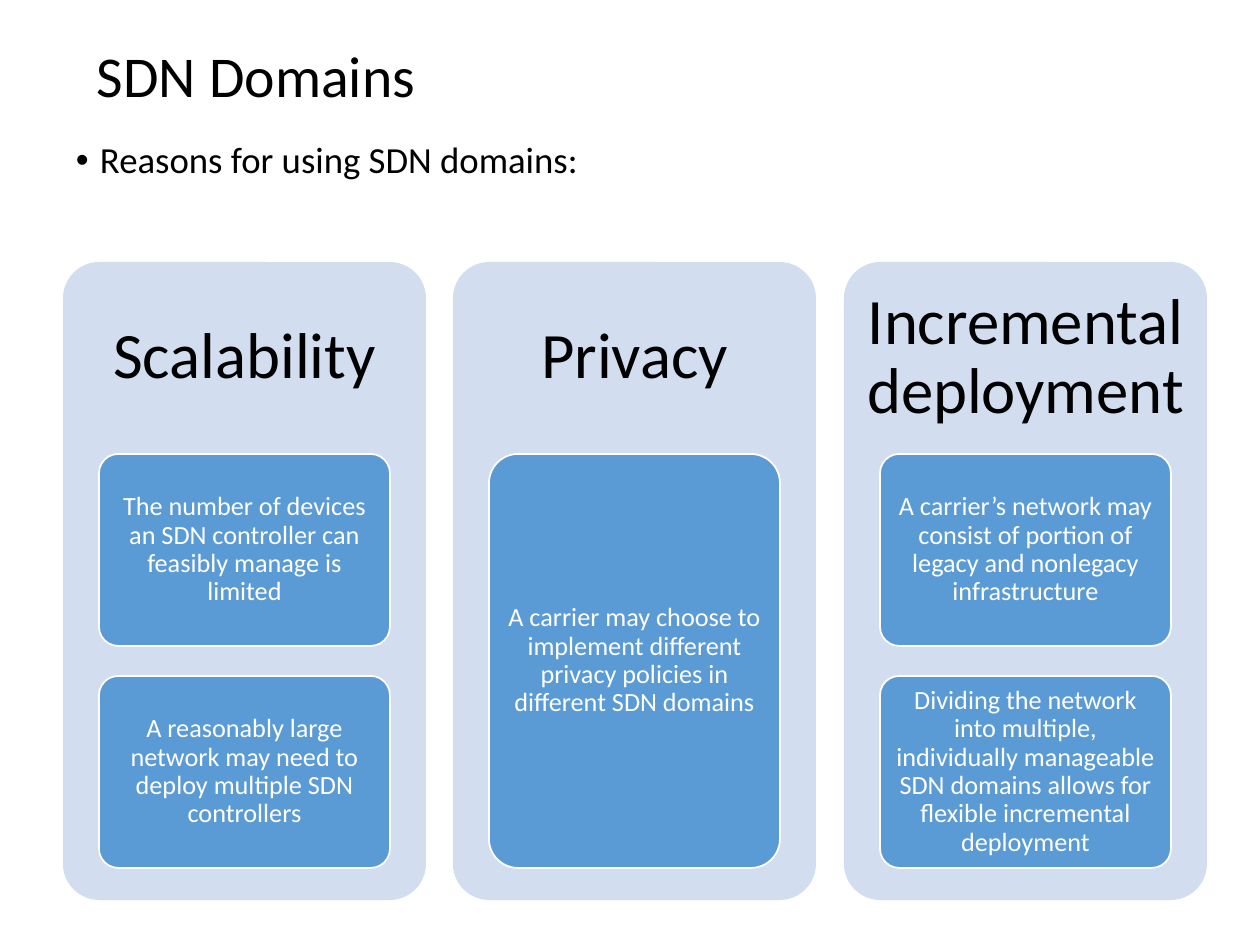
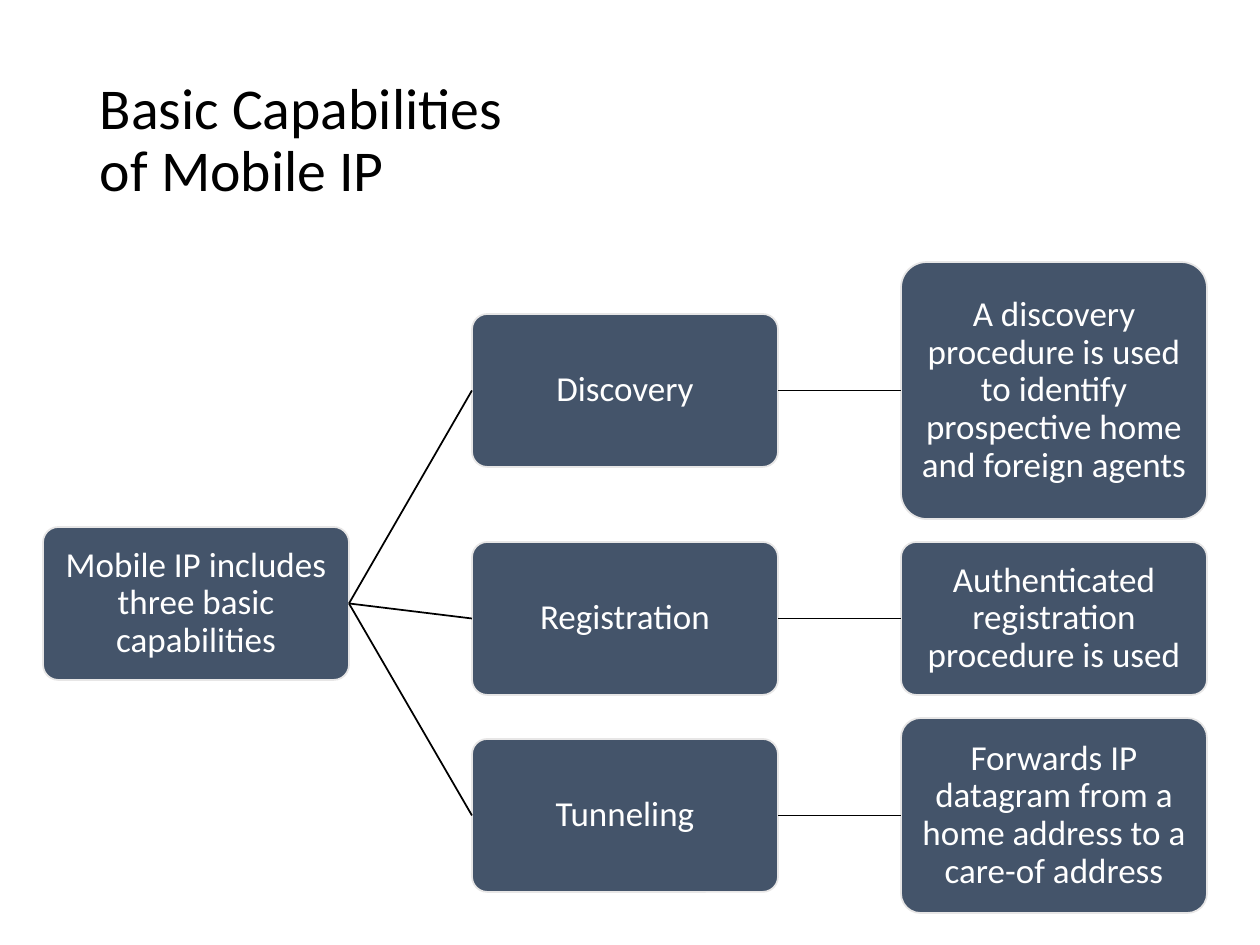
from dataclasses import dataclass

from lxml.etree import SubElement
from pptx import Presentation
from pptx.dml.color import RGBColor
from pptx.enum.shapes import MSO_CONNECTOR, MSO_SHAPE
from pptx.enum.text import MSO_ANCHOR, PP_ALIGN
from pptx.oxml.ns import qn
from pptx.shapes.autoshape import Shape
from pptx.slide import Slide
from pptx.text.text import TextFrame
from pptx.util import Emu, Pt

PIXELS_PER_INCH = 126
FONT = "Calibri"
COLORS = {
    "black": "000000",
    "white": "FFFFFF",
    "panel": "D2DEEF",
    "reason": "5B9BD5",
    "node": "44546A",
    "node_edge": "E7E6E6",
}
LEFT_SIDE, RIGHT_SIDE = 1, 3


@dataclass(frozen=True)
class Area:
    left: int
    top: int
    width: int
    height: int


@dataclass(frozen=True)
class TextStyle:
    size: int
    color: str = "black"
    align: PP_ALIGN = PP_ALIGN.CENTER
    anchor: MSO_ANCHOR = MSO_ANCHOR.MIDDLE
    side_inset: int = 13
    end_inset: int = 6


@dataclass(frozen=True)
class BoxStyle:
    fill: str
    edge: str | None = None


@dataclass(frozen=True)
class Domain:
    heading: str
    reasons: tuple[str, ...]


@dataclass(frozen=True)
class Capability:
    name: str
    detail: str
    detail_height: int


TITLE = TextStyle(33, align=PP_ALIGN.LEFT)
BODY = TextStyle(21, align=PP_ALIGN.LEFT, anchor=MSO_ANCHOR.TOP)
HEADING = TextStyle(37, side_inset=19, end_inset=19)
REASON_TEXT = TextStyle(15, "white", side_inset=5, end_inset=4)
NODE_TEXT = TextStyle(20, "white", side_inset=1, end_inset=1)
PANEL_BOX = BoxStyle("panel")
REASON_BOX = BoxStyle("reason", "white")
NODE_BOX = BoxStyle("node", "node_edge")

DOMAINS = (
    Domain("Scalability", (
        "The number of devices an SDN controller can feasibly manage is limited",
        "A reasonably large network may need to deploy multiple SDN controllers",
    )),
    Domain("Privacy", (
        "A carrier may choose to implement different privacy policies in different SDN domains",
    )),
    Domain("Incremental deployment", (
        "A carrier’s network may consist of portion of legacy and nonlegacy infrastructure",
        "Dividing the network into multiple, individually manageable SDN domains "
        "allows for flexible incremental deployment",
    )),
)
CAPABILITIES = (
    Capability(
        "Discovery",
        "A discovery procedure is used to identify prospective home and foreign agents",
        257,
    ),
    Capability("Registration", "Authenticated registration procedure is used", 153),
    Capability(
        "Tunneling",
        "Forwards IP datagram from a home address to a care-of address",
        195,
    ),
)


def px(length: int) -> Emu:
    return Emu(round(length * 914400 / PIXELS_PER_INCH))


def place(area: Area) -> tuple[Emu, Emu, Emu, Emu]:
    return px(area.left), px(area.top), px(area.width), px(area.height)


def rgb(name: str) -> RGBColor:
    return RGBColor.from_string(COLORS[name])


def write(frame: TextFrame, lines: tuple[str, ...], style: TextStyle, bullet: bool = False) -> None:
    frame.word_wrap = True
    frame.vertical_anchor = style.anchor
    frame.margin_left = frame.margin_right = px(style.side_inset)
    frame.margin_top = frame.margin_bottom = px(style.end_inset)
    paragraph = frame.paragraphs[0]
    paragraph.alignment = style.align
    paragraph.line_spacing = 0.9
    if bullet:
        properties = paragraph._p.get_or_add_pPr()
        properties.set("marL", str(px(24)))
        properties.set("indent", str(-px(24)))
        SubElement(properties, qn("a:buFont"), typeface="Arial")
        SubElement(properties, qn("a:buChar"), char="•")
    paragraph.font.name = FONT
    paragraph.font.size = Pt(style.size)
    paragraph.font.color.rgb = rgb(style.color)
    for index, line in enumerate(lines):
        if index:
            paragraph.add_line_break()
        paragraph.add_run().text = line


def add_text(slide: Slide, area: Area, lines: tuple[str, ...], style: TextStyle, bullet: bool = False) -> None:
    write(slide.shapes.add_textbox(*place(area)).text_frame, lines, style, bullet)


def add_box(slide: Slide, area: Area, style: BoxStyle) -> Shape:
    shape = slide.shapes.add_shape(MSO_SHAPE.ROUNDED_RECTANGLE, *place(area))
    shape.adjustments[0] = 0.1
    shape.shadow.inherit = False
    shape.fill.solid()
    shape.fill.fore_color.rgb = rgb(style.fill)
    if style.edge:
        shape.line.color.rgb = rgb(style.edge)
        shape.line.width = Pt(1)
    else:
        shape.line.fill.background()
    return shape


def add_node(slide: Slide, area: Area, text: str) -> Shape:
    node = add_box(slide, area, NODE_BOX)
    write(node.text_frame, (text,), NODE_TEXT)
    return node


def join(slide: Slide, start: Shape, end: Shape) -> None:
    connector = slide.shapes.add_connector(MSO_CONNECTOR.STRAIGHT, 0, 0, 0, 0)
    connector.begin_connect(start, RIGHT_SIDE)
    connector.end_connect(end, LEFT_SIDE)
    connector.line.color.rgb = rgb("black")
    connector.line.width = Pt(1)
    SubElement(connector._element.spPr, qn("a:effectLst"))


def add_domain(slide: Slide, left: int, width: int, domain: Domain) -> None:
    top, reasons_top, reasons_height, margin, gap = 262, 454, 414, 36, 30
    add_box(slide, Area(left, top, width, 638), PANEL_BOX)
    add_text(slide, Area(left, top, width, reasons_top - top), (domain.heading,), HEADING)
    count = len(domain.reasons)
    height = (reasons_height - gap * (count - 1)) // count
    for index, reason in enumerate(domain.reasons):
        area = Area(left + margin, reasons_top + index * (height + gap), width - 2 * margin, height)
        write(add_box(slide, area, REASON_BOX).text_frame, (reason,), REASON_TEXT)


def build_domains(slide: Slide) -> None:
    add_text(slide, Area(84, 0, 1134, 158), ("SDN Domains",), TITLE)
    add_text(slide, Area(63, 136, 1134, 614), ("Reasons for using SDN domains:",), BODY, bullet=True)
    first_left, last_left, width = 63, 844, 363
    for index, domain in enumerate(DOMAINS):
        left = first_left + index * (last_left - first_left) // (len(DOMAINS) - 1)
        add_domain(slide, left, width, domain)


def build_capabilities(slide: Slide) -> None:
    add_text(slide, Area(87, 50, 1086, 183), ("Basic Capabilities", "of Mobile IP"), TITLE)
    width, height, gap = 306, 153, 23
    root_left, name_left, detail_left = (43 + column * 429 for column in range(3))
    root = add_node(slide, Area(root_left, 527, width, height), "Mobile IP includes three basic capabilities")
    top = 262
    for capability in CAPABILITIES:
        name_top = top + (capability.detail_height - height) // 2
        name = add_node(slide, Area(name_left, name_top, width, height), capability.name)
        detail = add_node(slide, Area(detail_left, top, width, capability.detail_height), capability.detail)
        join(slide, root, name)
        join(slide, name, detail)
        top += capability.detail_height + gap


def main() -> None:
    presentation = Presentation()
    presentation.slide_width = px(1260)
    presentation.slide_height = px(945)
    blank = presentation.slide_layouts[6]
    for build in (build_domains, build_capabilities):
        build(presentation.slides.add_slide(blank))
    presentation.save("out.pptx")


if __name__ == "__main__":
    main()
